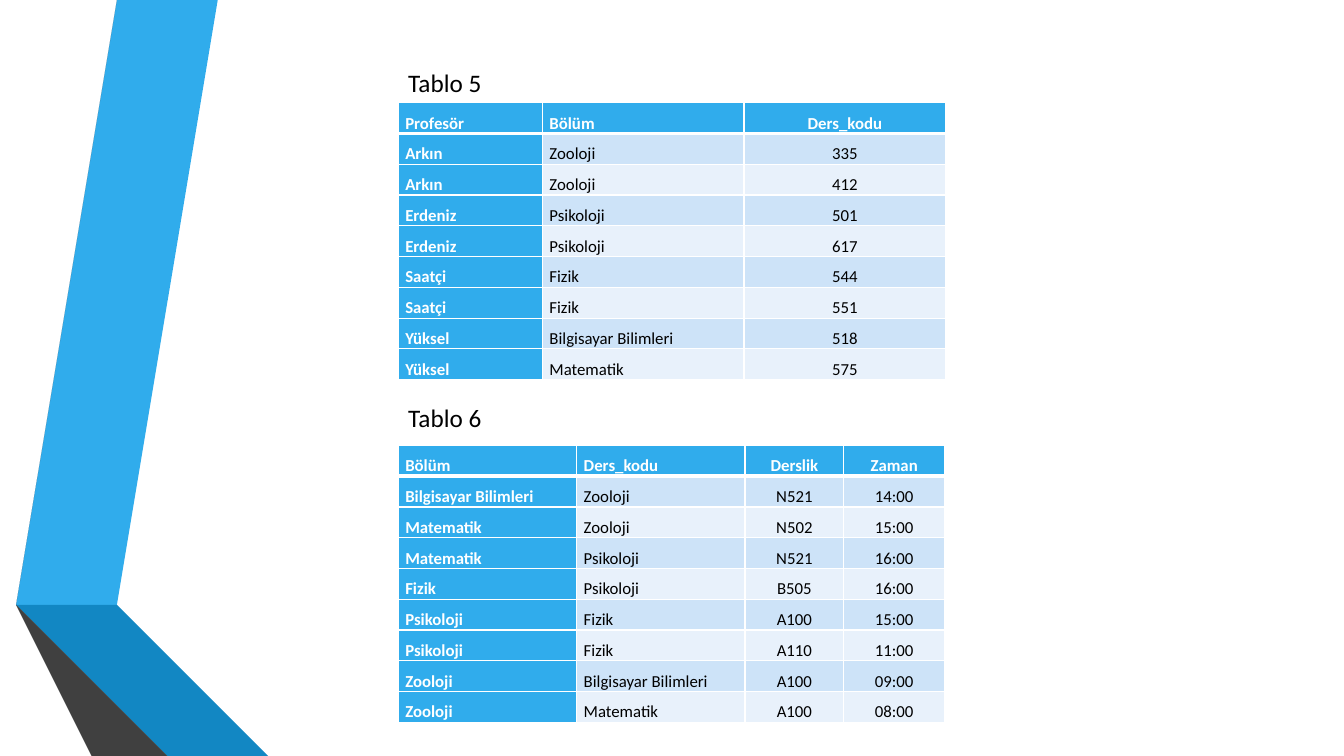
import lxml.etree
import pptx
import pptx.dml.color
import pptx.enum.text
import pptx.oxml.ns
import pptx.util

Inches = pptx.util.Inches
Pt = pptx.util.Pt
RGBColor = pptx.dml.color.RGBColor
ALIGN = pptx.enum.text.PP_ALIGN

WHITE = RGBColor(0xFF, 0xFF, 0xFF)
BLACK = RGBColor(0, 0, 0)
BLUE = RGBColor(0x30, 0xAC, 0xEC)
FOLD_BLUE = RGBColor(0x12, 0x87, 0xC3)
DEEP_BLUE = RGBColor(0x0C, 0x5A, 0x82)
GRAY = RGBColor(0x59, 0x59, 0x59)
FOLD_GRAY = RGBColor(0x40, 0x40, 0x40)
DEEP_GRAY = RGBColor(0x26, 0x26, 0x26)
BANDS = (RGBColor(0xCD, 0xE3, 0xF8), RGBColor(0xE8, 0xF1, 0xFB))

RIBBONS = [
    (BLUE, [(0.34, 5.78), (0.61, 5.83), (1.57, 0), (1.29, 0)]),
    (GRAY, [(1.23, 0), (0.95, 0), (0, 5.73), (0.28, 5.77)]),
    (DEEP_GRAY, [(0, 5.73), (1.29, 7.5), (1.35, 7.5)]),
    (DEEP_BLUE, [(0.34, 5.79), (1.92, 7.5), (1.98, 7.5)]),
    (FOLD_BLUE, [(0.34, 5.79), (1.98, 7.5), (2.67, 7.5), (0.61, 5.83), (0.34, 5.78)]),
    (FOLD_GRAY, [(1.86, 7.5), (0.32, 5.83), (0.27, 5.78), (0.28, 5.77), (0, 5.73), (1.35, 7.5)]),
]

PROFESSORS = [
    ("Profesör", "Bölüm", "Ders_kodu"),
    ("Arkın", "Zooloji", "335"),
    ("Arkın", "Zooloji", "412"),
    ("Erdeniz", "Psikoloji", "501"),
    ("Erdeniz", "Psikoloji", "617"),
    ("Saatçi", "Fizik", "544"),
    ("Saatçi", "Fizik", "551"),
    ("Yüksel", "Bilgisayar Bilimleri", "518"),
    ("Yüksel", "Matematik", "575"),
]
SCHEDULE = [
    ("Bölüm", "Ders_kodu", "Derslik", "Zaman"),
    ("Bilgisayar Bilimleri", "Zooloji", "N521", "14:00"),
    ("Matematik", "Zooloji", "N502", "15:00"),
    ("Matematik", "Psikoloji", "N521", "16:00"),
    ("Fizik", "Psikoloji", "B505", "16:00"),
    ("Psikoloji", "Fizik", "A100", "15:00"),
    ("Psikoloji", "Fizik", "A110", "11:00"),
    ("Zooloji", "Bilgisayar Bilimleri", "A100", "09:00"),
    ("Zooloji", "Matematik", "A100", "08:00"),
]
CELL_FORMAT = {"margin_left": Inches(0.07), "margin_right": Inches(0.07),
               "margin_top": 0, "margin_bottom": 0}
CELL_PARAGRAPH = {"line_spacing": 1.5, "space_after": Pt(6)}


def apply_format(target, values):
    """Set each named attribute of the target."""
    for name, value in values.items():
        setattr(target, name, value)


def style_font(font, size, color, bold=False):
    """Set the Calibri face with its size, colour and weight."""
    apply_format(font, {"name": "Calibri", "size": Pt(size), "bold": bold})
    font.color.rgb = color


def draw_ribbons(slide, left, top):
    """Draw the folded ribbons from the given corner."""
    for color, points in RIBBONS:
        outline = slide.shapes.build_freeform(*points[0], scale=Inches(1))
        outline.add_line_segments(points[1:], close=True)
        ribbon = outline.convert_to_shape(Inches(left), Inches(top))
        ribbon.shadow.inherit = False
        ribbon.fill.solid()
        ribbon.fill.fore_color.rgb = color
        ribbon.line.fill.background()


def border_cell(cell, bottom_width):
    """Give a cell white borders, with its own width at the bottom."""
    properties = cell._tc.get_or_add_tcPr()
    for side, width in {"lnL": 1, "lnR": 1, "lnT": 1, "lnB": bottom_width}.items():
        border = lxml.etree.SubElement(
            properties, pptx.oxml.ns.qn(f"a:{side}"), w=str(Pt(width)))
        fill = lxml.etree.SubElement(border, pptx.oxml.ns.qn("a:solidFill"))
        lxml.etree.SubElement(fill, pptx.oxml.ns.qn("a:srgbClr"), val=str(WHITE))


def fill_cell(cell, wording, row, column):
    """Write and style one cell by its place in the table."""
    heading = row == 0 or column == 0
    apply_format(cell, CELL_FORMAT)
    border_cell(cell, 3 if row == 0 else 1)
    cell.fill.solid()
    cell.fill.fore_color.rgb = BLUE if heading else BANDS[(row - 1) % 2]
    paragraph = cell.text_frame.paragraphs[0]
    apply_format(paragraph, CELL_PARAGRAPH)
    paragraph.alignment = ALIGN.JUSTIFY if column < 2 else ALIGN.CENTER
    run = paragraph.add_run()
    run.text = wording
    style_font(run.font, 12, WHITE if heading else BLACK, heading)


def draw_table(slide, left, top, widths, records):
    """Place a banded table with its corner at the given point."""
    row_height = 0.3
    table = slide.shapes.add_table(
        len(records), len(widths), Inches(left), Inches(top),
        Inches(sum(widths)), Inches(row_height * len(records))).table
    table.first_col = True
    for column, width in zip(table.columns, widths):
        column.width = Inches(width)
    for row, record in enumerate(records):
        table.rows[row].height = Inches(row_height)
        for column, wording in enumerate(record):
            fill_cell(table.cell(row, column), wording, row, column)


def draw_caption(slide, left, top, wording):
    """Place a table caption at the given point."""
    caption = slide.shapes.add_textbox(
        Inches(left), Inches(top), Inches(1.18), Inches(0.4)).text_frame
    caption.word_wrap = True
    caption.auto_size = pptx.enum.text.MSO_AUTO_SIZE.SHAPE_TO_FIT_TEXT
    run = caption.paragraphs[0].add_run()
    run.text = wording
    style_font(run.font, 18, BLACK)


def main():
    """Build and save the slide."""
    presentation = pptx.Presentation()
    apply_format(presentation, {"slide_width": Inches(13.33), "slide_height": Inches(7.5)})
    slide = presentation.slides.add_slide(presentation.slide_layouts[6])
    draw_ribbons(slide, 0.16, 0)
    left = 3.95
    draw_table(slide, left, 1.02, (1.43, 2, 2), PROFESSORS)
    draw_table(slide, left, 4.42, (1.77, 1.67, 0.98, 1), SCHEDULE)
    draw_caption(slide, left, 3.94, "Tablo 6")
    draw_caption(slide, left, 0.62, "Tablo 5")
    presentation.save("out.pptx")


if __name__ == "__main__":
    main()
